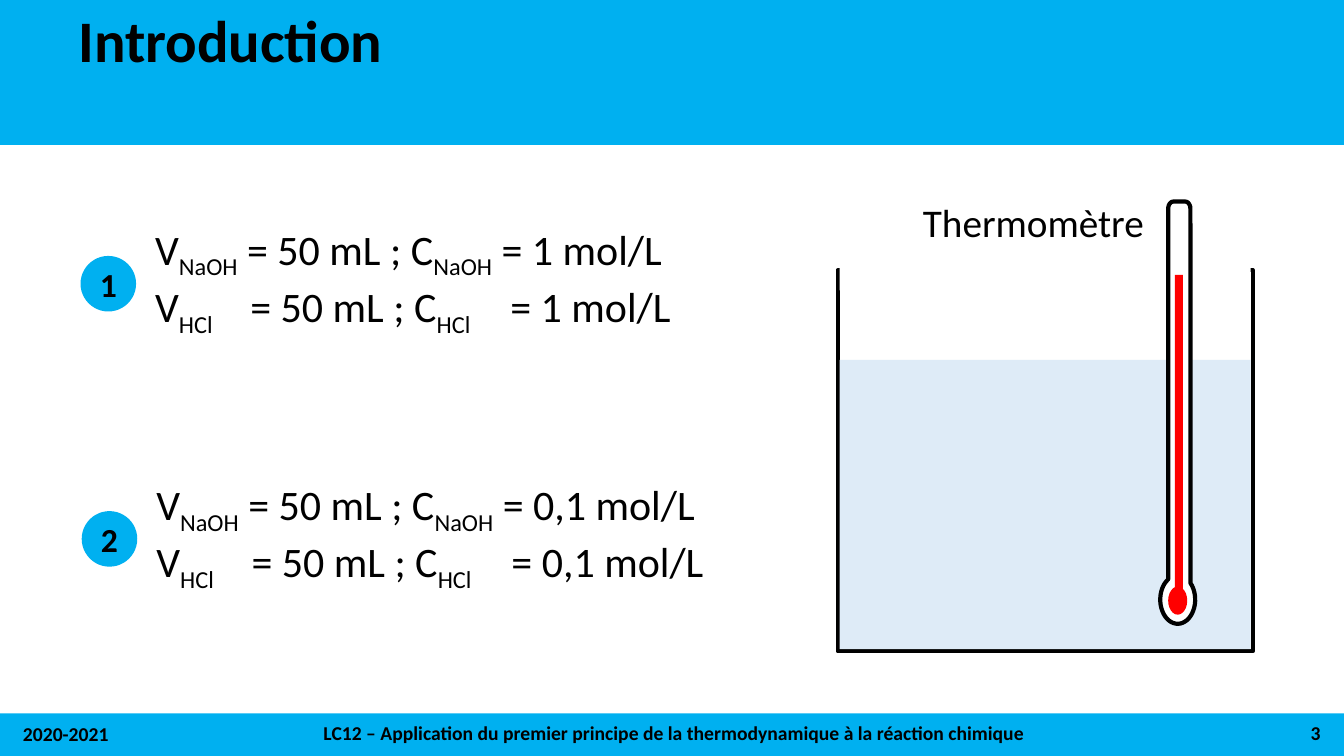
from math import cos, sin, radians

from lxml.etree import SubElement
from pptx import Presentation
from pptx.dml.color import RGBColor as Rgb
from pptx.enum.shapes import MSO_SHAPE as Shape
from pptx.enum.text import MSO_ANCHOR as Anchor, PP_ALIGN as Align
from pptx.oxml.ns import qn
from pptx.util import Cm, Pt

COLOURS = {"band": "00B0F0", "water": "DEEBF7", "paper": "FFFFFF",
           "ink": "000000", "mercury": "FF0000"}
FONT = "Calibri"
FORMULA_TABS = (2.4, 8.95)


def colour(name):
    return Rgb.from_string(COLOURS[name])


def style_run(run, size, bold=False):
    run.font.name = FONT
    run.font.size = Pt(size)
    run.font.bold = bold
    run.font.color.rgb = colour("ink")


def write(frame, text, size, bold=False, align=Align.LEFT):
    frame.text = text
    frame.word_wrap = True
    frame.vertical_anchor = Anchor.MIDDLE
    line = frame.paragraphs[0]
    line.alignment = align
    style_run(line.runs[0], size, bold)
    return line


def add_text(slide, box, text, size, bold=False, align=Align.LEFT):
    label = slide.shapes.add_textbox(*map(Cm, box))
    return write(label.text_frame, text, size, bold, align)


def paint(part, fill=None, outlined=False):
    part.shadow.inherit = False
    if fill:
        part.fill.solid()
        part.fill.fore_color.rgb = colour(fill)
    else:
        part.fill.background()
    if outlined:
        part.line.color.rgb = colour("ink")
        part.line.width = Pt(3)
    else:
        part.line.fill.background()
    return part


def add_part(slide, kind, box, fill=None, outlined=False):
    return paint(slide.shapes.add_shape(kind, *map(Cm, box)), fill, outlined)


def add_formulas(slide, left, top, concentration):
    frame = slide.shapes.add_textbox(Cm(left), Cm(top), Cm(14.5), Cm(3.53)).text_frame
    frame.word_wrap = True
    frame.vertical_anchor = Anchor.MIDDLE
    frame.margin_left = frame.margin_right = frame.margin_top = frame.margin_bottom = 0
    # The shorter index is followed by a tab, so the equal signs line up
    for line, solute, gap in ((frame.paragraphs[0], "NaOH", " "),
                              (frame.add_paragraph(), "HCl", "\t")):
        tabs = SubElement(line._p.get_or_add_pPr(), qn("a:tabLst"))
        for stop in FORMULA_TABS:
            SubElement(tabs, qn("a:tab"), pos=str(Cm(stop)), algn="l")
        pieces = ("V", solute, f"{gap}= 50 mL ; C", solute, f"{gap}= {concentration} mol/L")
        for piece in pieces:
            run = line.add_run()
            run.text = piece
            style_run(run, 30)
            if piece == solute:
                run._r.get_or_add_rPr().set("baseline", "-25000")


def add_experiment(slide, number, left, top, concentration):
    badge = add_part(slide, Shape.OVAL, (left, top, 1.4, 1.4), "band")
    frame = badge.text_frame
    frame.margin_left = frame.margin_right = 0
    write(frame, str(number), 24, True, Align.CENTER)
    add_formulas(slide, left + 1.88, top - 1.14, concentration)


def arc(centre_x, centre_y, radius_x, radius_y, start, end, steps):
    angles = [radians(start + (end - start) * i / steps) for i in range(steps + 1)]
    return [(centre_x + radius_x * cos(a), centre_y + radius_y * sin(a)) for a in angles]


def add_thermometer(slide):
    # Glass: round-cornered stem running into the bulb
    outline = (arc(29.57, 5.26, 0.13, 0.18, 180, 270, 6)
               + arc(29.87, 5.26, 0.13, 0.18, 270, 360, 6)
               + arc(29.68, 15.11, 0.44, 0.61, -43, 237, 36))
    points = [(Cm(x), Cm(y)) for x, y in outline]
    glass = slide.shapes.build_freeform(*points[0])
    glass.add_line_segments(points[1:], close=True)
    paint(glass.convert_to_shape(), "paper", outlined=True)
    # Mercury
    add_part(slide, Shape.RECTANGLE, (29.61, 6.93, 0.2, 8.1), "mercury")
    add_part(slide, Shape.OVAL, (29.44, 14.78, 0.48, 0.71), "mercury")
    add_text(slide, (23.01, 5.03, 7.32, 1.12), "Thermomètre", 28)


def add_beaker(slide):
    add_part(slide, Shape.RECTANGLE, (21.11, 6.81, 10.46, 9.6), outlined=True)
    add_part(slide, Shape.RECTANGLE, (21.16, 9.07, 10.36, 7.29), "water")
    # Open top
    add_part(slide, Shape.RECTANGLE, (21.16, 6.53, 10.36, 0.79), "paper")


def add_frame(slide):
    # Bands and title
    add_part(slide, Shape.RECTANGLE, (0, -0.02, 33.87, 3.67), "band")
    add_part(slide, Shape.RECTANGLE, (0, 17.98, 33.87, 1.07), "band")
    title = add_text(slide, (1.73, 0.28, 29.82, 1.65), "Introduction", 42, True)
    title.line_spacing = 0.9
    # Footer
    subject = "LC12 – Application du premier principe de la thermodynamique à la réaction chimique"
    for left, top, width, text, align in (
            (0.33, 17.98, 7.62, "2020-2021", Align.LEFT),
            (7.54, 17.96, 18.9, subject, Align.CENTER),
            (25.91, 17.96, 7.62, "3", Align.RIGHT)):
        add_text(slide, (left, top, width, 1.02), text, 14, True, align)


def main():
    deck = Presentation()
    deck.slide_width, deck.slide_height = Cm(33.87), Cm(19.05)
    slide = deck.slides.add_slide(deck.slide_layouts[6])
    add_frame(slide)
    add_beaker(slide)
    add_thermometer(slide)
    add_experiment(slide, 1, 2.03, 6.45, "1")
    add_experiment(slide, 2, 2.06, 12.88, "0,1")
    deck.save("out.pptx")


main()
